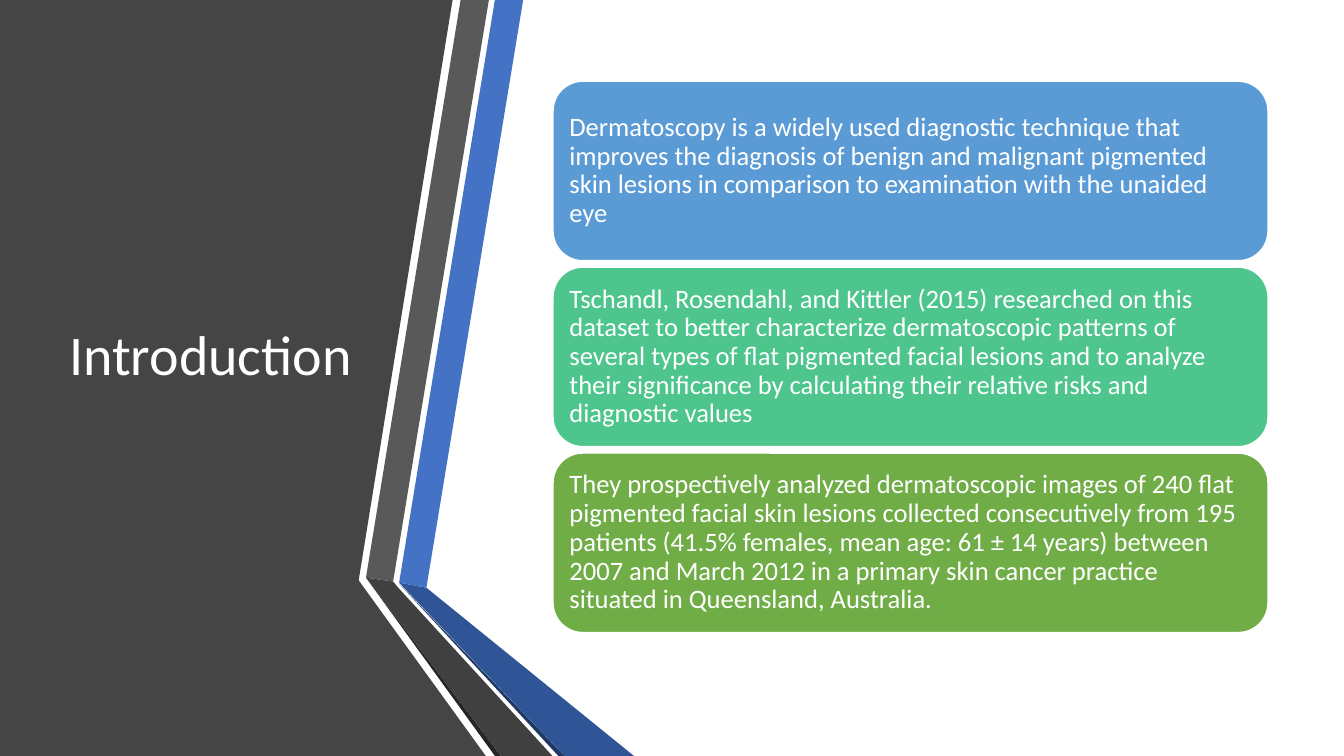
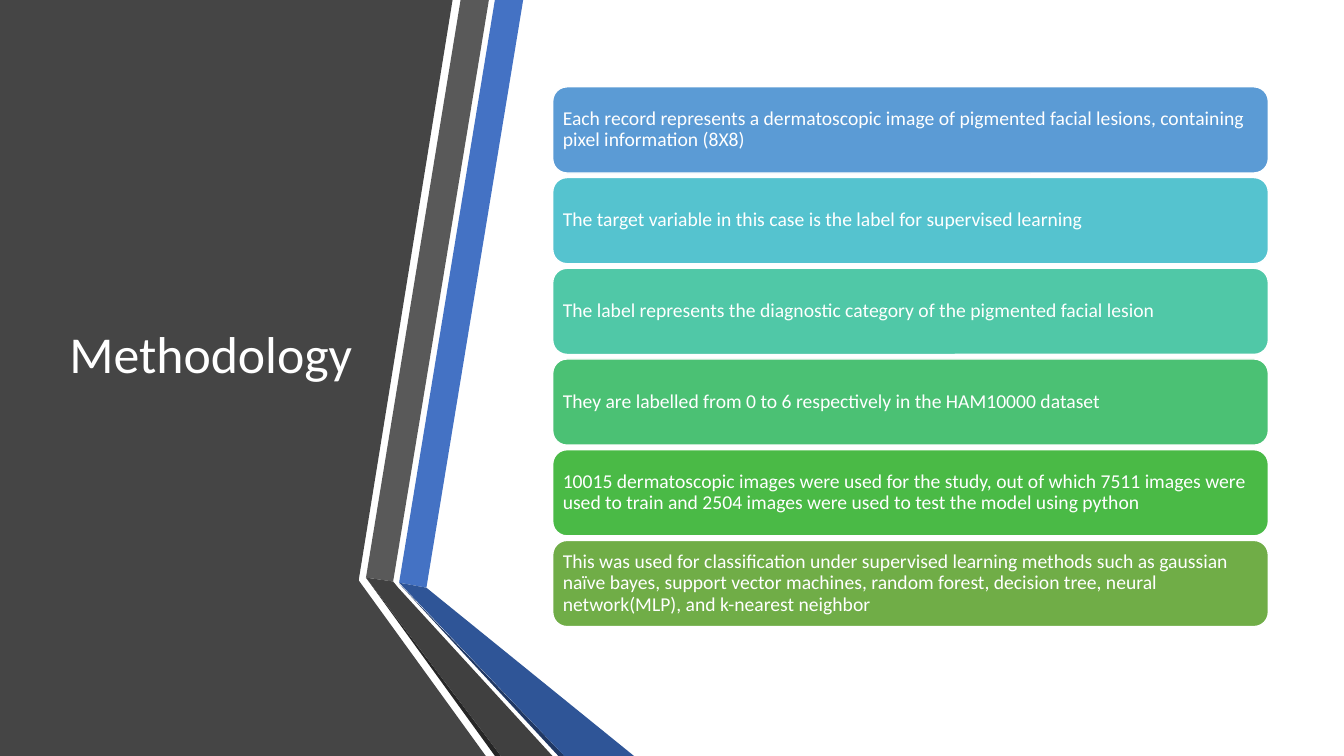
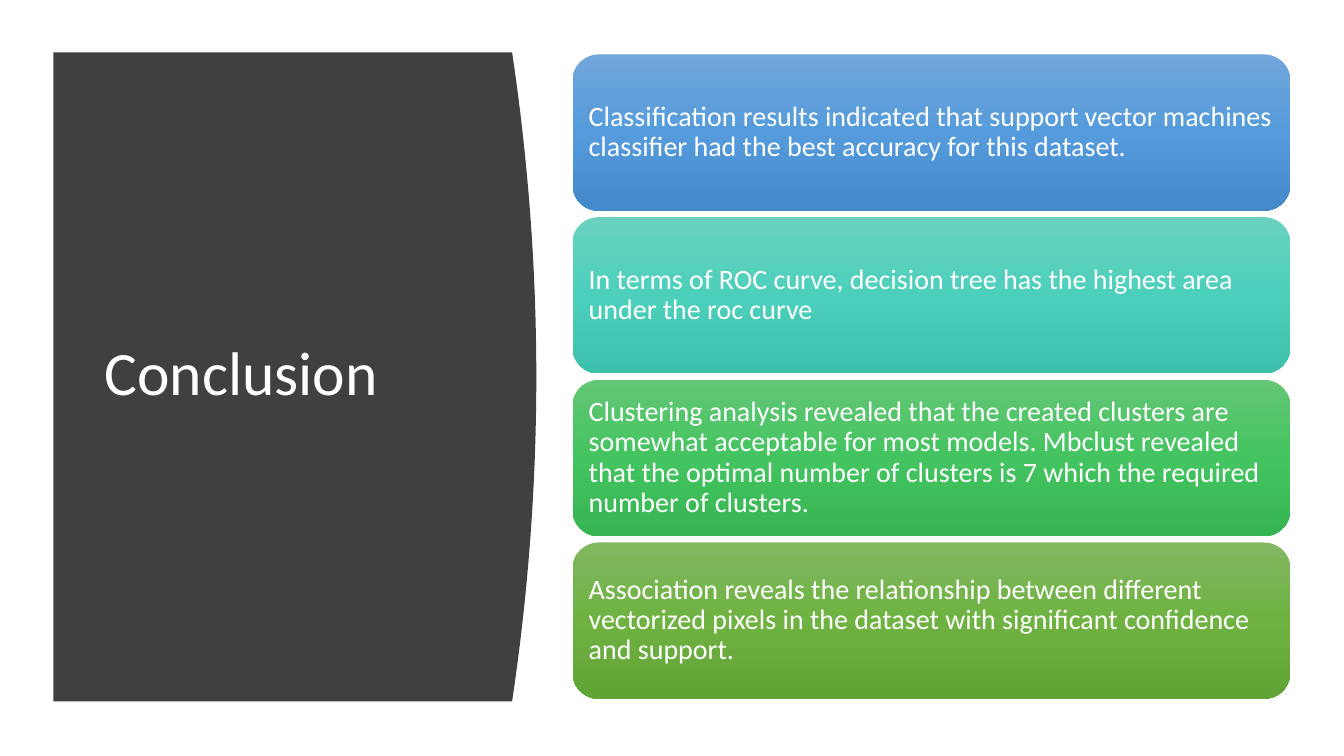
from copy import deepcopy
from dataclasses import dataclass

from pptx import Presentation
from pptx.dml.color import RGBColor
from pptx.enum import shapes, text
from pptx.oxml.ns import qn
from pptx.util import Pt


@dataclass(frozen=True)
class Theme:
    font: str = "Calibri"
    white: str = "FFFFFF"
    panel: str = "454545"
    curve: str = "404040"
    blue: str = "4472C4"
    blue_dark: str = "2F5597"
    navy: str = "203864"
    grey: str = "595959"
    grey_dark: str = "404040"
    black: str = "262626"
    spacing: float = 0.9
    inset_ratio: float = 0.3  # card margin relative to its type size


T = Theme()
WIDTH, HEIGHT = 960, 540

# Outlines of the folded side panel, back to front
FOLDED_PANEL = [
    (T.panel, [(0, 0), (323.3, 0), (256.3, 414), (256.3, 414.7), (347, 540), (0, 540)]),
    (T.blue, [(285.1, 416.2), (304.6, 419.8), (373.7, 0), (353.5, 0)]),
    (T.grey, [(349.2, 0), (329, 0), (261.4, 412.6), (280.8, 415.4)]),
    (T.black, [(261.4, 412.6), (353.5, 540), (357.8, 540)]),
    (T.navy, [(285.1, 416.9), (398.9, 540), (403.2, 540)]),
    (T.blue_dark, [(285.1, 416.2), (403.2, 540), (452.9, 540), (304.6, 419.8)]),
    (T.grey_dark, [(394.6, 540), (284.4, 419.8), (280.8, 415.4), (261.4, 412.6),
                   (357.8, 540)]),
]


def bulging_outline(left=38.2, top=37.4, bottom=501.1, edge=365.8, bulge=17.3, steps=32):
    """Rectangle whose right side is a parabola."""
    points = [(left, top)]
    for i in range(steps + 1):
        t = 2 * i / steps - 1
        points.append((edge + bulge * (1 - t * t), top + (bottom - top) * i / steps))
    return points + [(left, bottom)]


CURVED_PANEL = [(T.curve, bulging_outline())]
FOLDED_TITLE = (42.5, 54, 219, 402)
CURVED_TITLE = (67.7, 80, 269.3, 377)

# A card is its text and its fill: one colour, or three for a vertical gradient
SLIDES = [
    dict(
        title="Introduction", title_size=40, title_box=FOLDED_TITLE, panel=FOLDED_PANEL,
        grid=dict(left=394.8, top=57.8, width=511.2, height=128.7, gap=4.1),
        size=19, border=1.5,
        cards=[
            ("Dermatoscopy is a widely used diagnostic technique that improves the "
             "diagnosis of benign and malignant pigmented skin lesions in comparison to "
             "examination with the unaided eye", ["5B9BD5"]),
            ("Tschandl, Rosendahl, and Kittler (2015) researched on this dataset to better "
             "characterize dermatoscopic patterns of several types of flat pigmented facial "
             "lesions and to analyze their significance by calculating their relative risks "
             "and diagnostic values", ["4DC58D"]),
            ("They prospectively analyzed dermatoscopic images of 240 flat pigmented facial "
             "skin lesions collected consecutively from 195 patients (41.5% females, mean "
             "age: 61 ± 14 years) between 2007 and March 2012 in a primary skin cancer "
             "practice situated in Queensland, Australia.", ["70AD47"]),
        ],
    ),
    dict(
        title="Methodology", title_size=37, title_box=FOLDED_TITLE, panel=FOLDED_PANEL,
        grid=dict(left=394.8, top=62, width=511.2, height=61.6, gap=3.2),
        size=14, border=1,
        cards=[
            ("Each record represents a dermatoscopic image of pigmented facial lesions, "
             "containing pixel information (8X8)", ["5B9BD5"]),
            ("The target variable in this case is the label for supervised learning",
             ["55C3CF"]),
            ("The label represents the diagnostic category of the pigmented facial lesion",
             ["50C8A7"]),
            ("They are labelled from 0 to 6 respectively in the HAM10000 dataset", ["4BC174"]),
            ("10015 dermatoscopic images were used for the study, out of which 7511 images "
             "were used to train and 2504 images were used to test the model using python",
             ["4ABA46"]),
            ("This was used for classification under supervised learning methods such as "
             "gaussian naïve bayes, support vector machines, random forest, decision tree, "
             "neural network(MLP), and k-nearest neighbor", ["70AD47"]),
        ],
    ),
    dict(
        title="Conclusion", title_size=44, title_box=CURVED_TITLE, panel=CURVED_PANEL,
        grid=dict(left=409, top=38.9, width=512.6, height=111.6, gap=4.6),
        size=20, border=0,
        cards=[
            ("Classification results indicated that support vector machines classifier had "
             "the best accuracy for this dataset.", ["71A6DB", "559BDB", "448ACA"]),
            ("In terms of ROC curve, decision tree has the highest area under the roc curve",
             ["6AD1C0", "4CD0BC", "3CC0AC"]),
            ("Clustering analysis revealed that the created clusters are somewhat acceptable "
             "for most models. Mbclust revealed that the optimal number of clusters is 7 "
             "which the required number of clusters.", ["64C677", "44C460", "36B552"]),
            ("Association reveals the relationship between different vectorized pixels in "
             "the dataset with significant confidence and support.",
             ["81B861", "6FB242", "62A336"]),
        ],
    ),
]


def paint(sp, colours, border=0):
    """Fill with one colour or an even top-to-bottom gradient, with a white border."""
    sp.shadow.inherit = False
    if len(colours) == 1:
        sp.fill.solid()
        sp.fill.fore_color.rgb = RGBColor.from_string(colours[0])
    else:
        sp.fill.gradient()
        sp.fill.gradient_angle = 270
        stops = sp._element.spPr.find(qn("a:gradFill")).find(qn("a:gsLst"))
        for _ in colours[2:]:
            stops.append(deepcopy(stops[0]))
        for i, (stop, colour) in enumerate(zip(sp.fill.gradient_stops, colours)):
            stop.position = i / (len(colours) - 1)
            stop.color.rgb = RGBColor.from_string(colour)
    if border:
        sp.line.color.rgb = RGBColor.from_string(T.white)
        sp.line.width = Pt(border)
    else:
        sp.line.fill.background()


def write(sp, content, size, inset=None):
    tf = sp.text_frame
    tf.word_wrap = True
    tf.vertical_anchor = text.MSO_ANCHOR.MIDDLE
    if inset is not None:
        tf.margin_left = tf.margin_right = tf.margin_top = tf.margin_bottom = Pt(inset)
    p = tf.paragraphs[0]
    p.alignment = text.PP_ALIGN.LEFT
    p.line_spacing = T.spacing
    r = p.add_run()
    r.text = content
    r.font.name = T.font
    r.font.size = Pt(size)
    r.font.color.rgb = RGBColor.from_string(T.white)


def add_outline(s, colour, points):
    start, *rest = [(Pt(x), Pt(y)) for x, y in points]
    builder = s.shapes.build_freeform(*start)
    builder.add_line_segments(rest, close=True)
    paint(builder.convert_to_shape(), [colour])


def add_cards(s, cards, size, border, left, top, width, height, gap):
    for i, (content, colours) in enumerate(cards):
        y = top + i * (height + gap)
        sp = s.shapes.add_shape(shapes.MSO_SHAPE.ROUNDED_RECTANGLE,
                                Pt(left), Pt(y), Pt(width), Pt(height))
        paint(sp, colours, border)
        write(sp, content, size, inset=size * T.inset_ratio)


def main():
    prs = Presentation()
    prs.slide_width, prs.slide_height = Pt(WIDTH), Pt(HEIGHT)
    for d in SLIDES:
        s = prs.slides.add_slide(prs.slide_layouts[6])
        for colour, points in d["panel"]:
            add_outline(s, colour, points)
        title = s.shapes.add_textbox(*map(Pt, d["title_box"]))
        write(title, d["title"], d["title_size"])
        add_cards(s, d["cards"], d["size"], d["border"], **d["grid"])
    prs.save("out.pptx")


if __name__ == "__main__":
    main()
